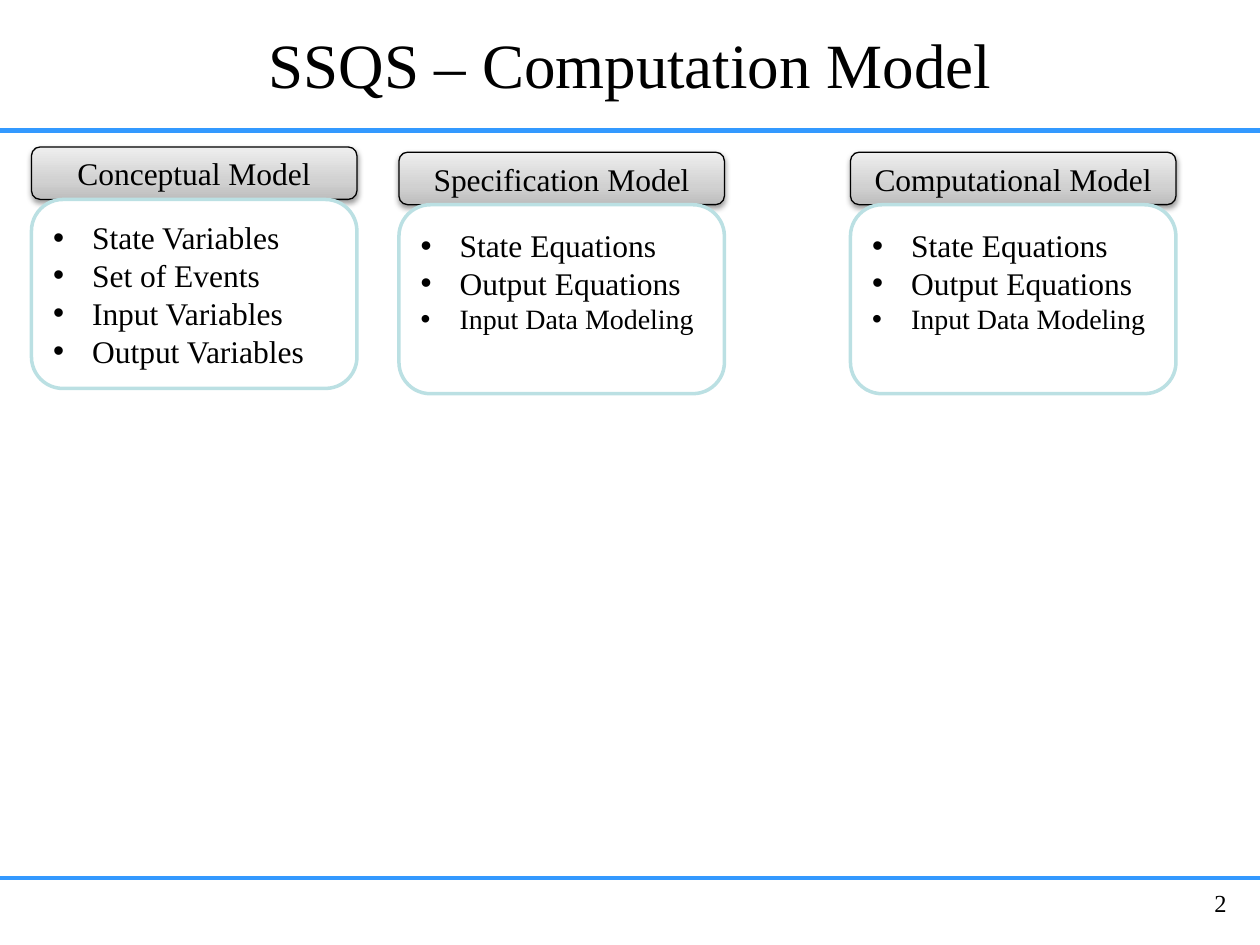
from copy import deepcopy

from lxml import etree
from pptx import Presentation
from pptx.dml.color import RGBColor
from pptx.enum.shapes import MSO_CONNECTOR, MSO_SHAPE
from pptx.enum.text import MSO_ANCHOR, PP_ALIGN
from pptx.oxml import parse_xml
from pptx.oxml.ns import nsdecls, qn
from pptx.util import Inches, Pt

STRAIGHT = MSO_CONNECTOR.STRAIGHT
ROUNDED = MSO_SHAPE.ROUNDED_RECTANGLE
MIDDLE = MSO_ANCHOR.MIDDLE
LEFT, CENTER, RIGHT = PP_ALIGN.LEFT, PP_ALIGN.CENTER, PP_ALIGN.RIGHT

FONT = "Times New Roman"
BLACK = RGBColor(0x00, 0x00, 0x00)
WHITE = RGBColor(0xFF, 0xFF, 0xFF)
RULE_BLUE = RGBColor(0x33, 0x99, 0xFF)
PANEL_BLUE = RGBColor(0xBB, 0xE0, 0xE3)
HEADER_STOPS = [
    (0, RGBColor(0xBD, 0xBD, 0xBD)),
    (0.35, RGBColor(0xD1, 0xD1, 0xD1)),
    (1, RGBColor(0xEE, 0xEE, 0xEE)),
]
SHADOW = (
    f'<a:outerShdw {nsdecls("a")} blurRad="40000" dist="20000" dir="5400000" rotWithShape="0">'
    '<a:srgbClr val="000000"><a:alpha val="38000"/></a:srgbClr></a:outerShdw>'
)

presentation = Presentation()
presentation.slide_width = Inches(10)
presentation.slide_height = Inches(7.5)
slide = presentation.slides.add_slide(presentation.slide_layouts[5])
UNIT = presentation.slide_width / 120  # grid step: 120 columns, 90 rows


def grid(*steps):
    return [round(step * UNIT) for step in steps]


def format_paragraph(paragraph, size, alignment):
    paragraph.alignment = alignment
    paragraph.font.name = FONT
    paragraph.font.size = Pt(size)
    paragraph.font.color.rgb = BLACK


# Rules under the title and above the footer
for row, weight in [(83.6, 2.25), (12.4, 3)]:
    rule = slide.shapes.add_connector(STRAIGHT, *grid(0, row, 120, row))
    rule.line.color.rgb = RULE_BLUE
    rule.line.width = Pt(weight)
    etree.SubElement(rule._element.spPr, qn("a:effectLst"))

# Title
title = slide.shapes.title
title.left, title.top, title.width, title.height = grid(6, 2, 108, 8)
title.text_frame.text = "SSQS – Computation Model"
title.text_frame.vertical_anchor = MIDDLE
format_paragraph(title.text_frame.paragraphs[0], 36, CENTER)

# Page number
page_number = slide.shapes.add_textbox(*grid(110, 84, 8, 4.7))
page_number.text_frame.word_wrap = True
page_number.text_frame.text = "2"
format_paragraph(page_number.text_frame.paragraphs[0], 14, RIGHT)

# Model cards: column, row, heading, items with sizes, bottom inset in inches
equations = [("State Equations", 18), ("Output Equations", 18), ("Input Data Modeling", 16)]
variables = [
    (text, 18)
    for text in ("State Variables", "Set of Events", "Input Variables", "Output Variables")
]
cards = [
    (3, 14, "Conceptual Model", variables, 0.05),
    (38, 14.5, "Specification Model", equations, 0.34),
    (81, 14.5, "Computational Model", equations, 0.34),
]
CARD_WIDTH, HEADER_HEIGHT, PANEL_HEIGHT = 31, 5, 18

for column, row, heading, items, bottom_inset in cards:
    # Header with gradient and soft shadow
    header = slide.shapes.add_shape(ROUNDED, *grid(column, row, CARD_WIDTH, HEADER_HEIGHT))
    header.fill.gradient()
    header.fill.gradient_angle = 90
    stop_list = header._element.spPr.find(".//" + qn("a:gsLst"))
    stop_list.append(deepcopy(stop_list[0]))
    for stop, (position, color) in zip(header.fill.gradient_stops, HEADER_STOPS):
        stop.position = position
        stop.color.rgb = color
    header.line.color.rgb = BLACK
    header.line.width = Pt(0.75)
    header.shadow.inherit = False
    header._element.spPr.find(qn("a:effectLst")).append(parse_xml(SHADOW))
    header.text_frame.vertical_anchor = MIDDLE
    header.text_frame.text = heading
    format_paragraph(header.text_frame.paragraphs[0], 18, CENTER)

    # Panel with bulleted list
    panel = slide.shapes.add_shape(
        ROUNDED, *grid(column, row + HEADER_HEIGHT, CARD_WIDTH, PANEL_HEIGHT)
    )
    panel.fill.solid()
    panel.fill.fore_color.rgb = WHITE
    panel.line.color.rgb = PANEL_BLUE
    panel.line.width = Pt(2)
    panel.shadow.inherit = False
    text_frame = panel.text_frame
    text_frame.vertical_anchor = MIDDLE
    text_frame.margin_bottom = Inches(bottom_inset)
    text_frame.text = "\n".join(text for text, size in items)
    for paragraph, (text, size) in zip(text_frame.paragraphs, items):
        properties = paragraph._p.get_or_add_pPr()
        properties.set("marL", str(Inches(0.31)))
        properties.set("indent", str(-Inches(0.31)))
        etree.SubElement(properties, qn("a:buFont"), typeface="Arial")
        etree.SubElement(properties, qn("a:buChar"), char="•")
        format_paragraph(paragraph, size, LEFT)

presentation.save("out.pptx")
